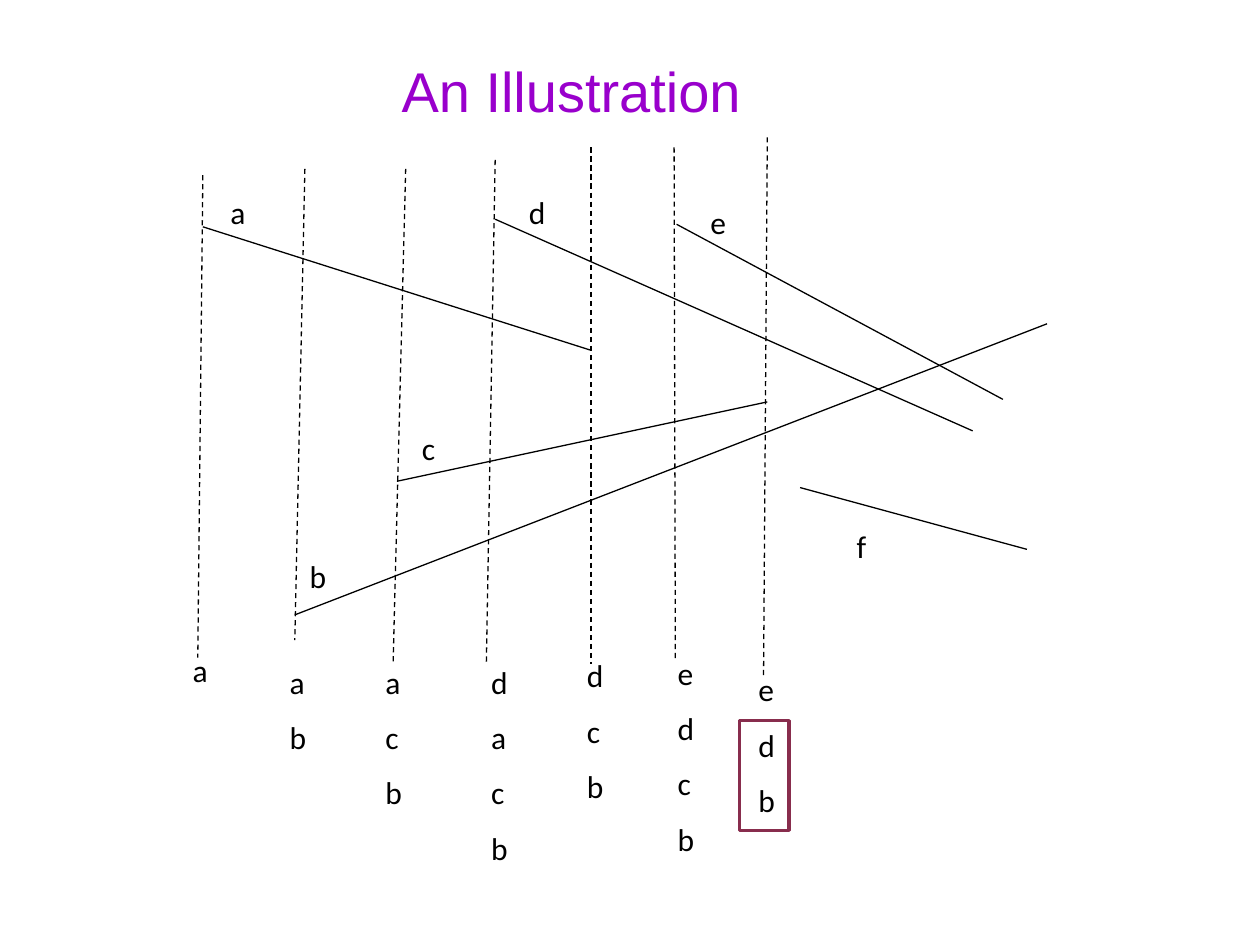
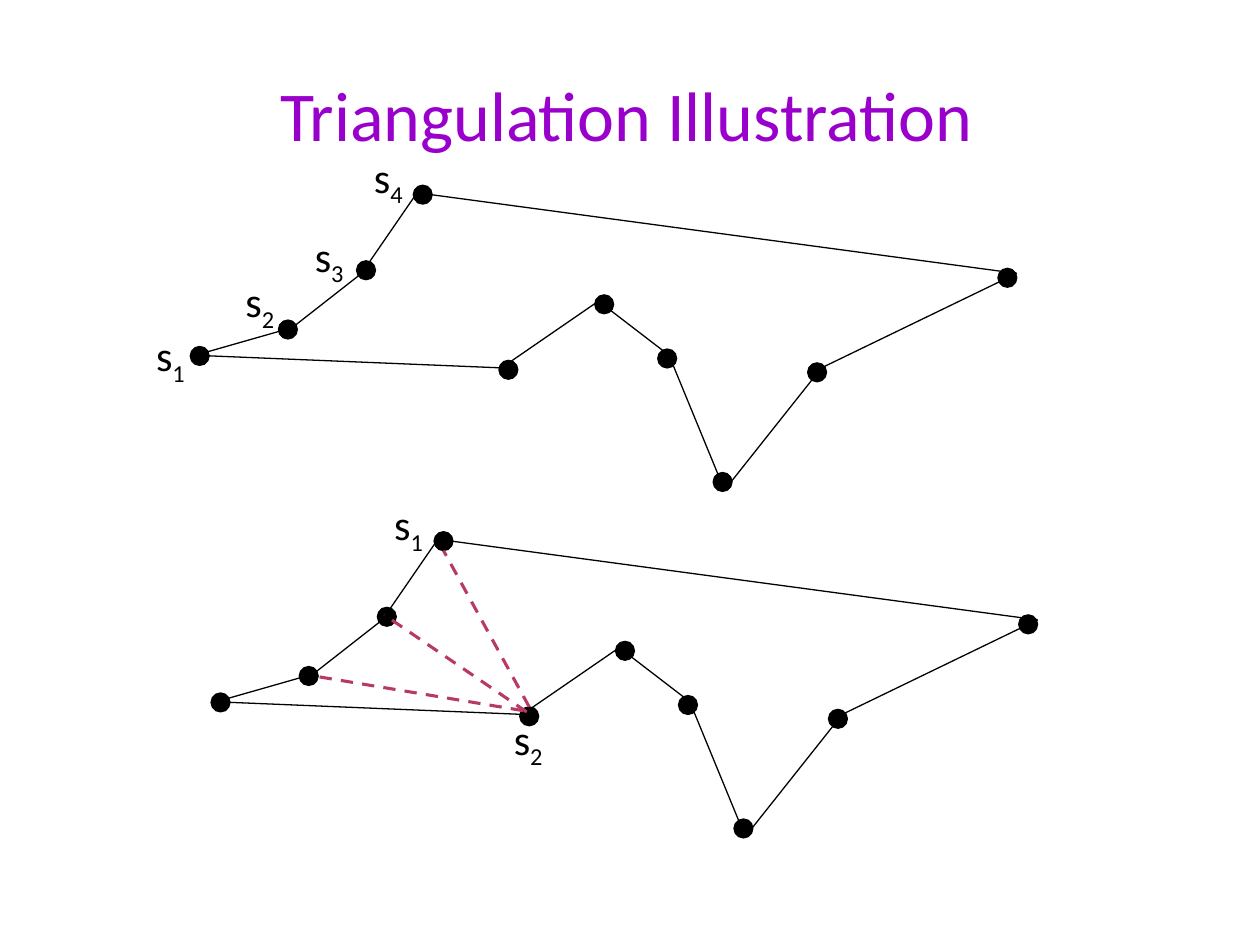
import lxml.etree
import pptx
import pptx.dml.color
import pptx.enum.dml
import pptx.enum.shapes
import pptx.enum.text
import pptx.oxml.ns
import pptx.util

# Grid: 100 columns by 75 rows of square cells
WIDTH, HEIGHT = pptx.util.Inches(10), pptx.util.Inches(7.5)
CELL = WIDTH / 100

INK, TITLE_COLOUR = "000000", "9900CC"
FRAME_COLOUR, DIAGONAL_COLOUR = "882D4D", "B73965"
BODY_FONT = "Calibri"
THIN = 0.75
LINE_ROWS = 4.4
DOT_SIZE = 1.5

# Sweep stops: top (column, row), bottom (column, row),
# status list (column, row), segments in the status from top to bottom
SWEEP_STOPS = [
    ((16.1, 13.9), (15.7, 52.2), (14.3, 51.2), "a"),
    ((24.2, 13.4), (23.4, 50.8), (22, 52.1), "ab"),
    ((32.2, 13.4), (31.2, 52.7), (29.6, 52.1), "acb"),
    ((39.3, 12.7), (38.6, 52.7), (38, 52.1), "dacb"),
    ((46.9, 11.7), (46.9, 52.7), (45.6, 51.6), "dcb"),
    ((53.5, 11.7), (53.6, 52.3), (52.8, 51.4), "edcb"),
    ((60.9, 10.9), (60.6, 53.8), (59.2, 52.7), "edb"),
]

# Segments: left end, right end, place of the label
SEGMENTS = {
    "a": ((16.1, 18), (46.9, 27.8), (17.3, 14.8)),
    "b": ((23.4, 48.8), (83.1, 25.7), (23.6, 43.7)),
    "c": ((31.5, 38.2), (60.9, 31.9), (32.5, 33.6)),
    "d": ((39.3, 17.4), (77.2, 34.2), (41, 14.8)),
    "e": ((53.7, 17.8), (79.6, 31.7), (55.4, 15.6)),
    "f": ((63.5, 38.7), (81.5, 43.6), (67, 41.3)),
}

# Polygon in order round its edge: corner of the outline, corner of the dot
POLYGON = [
    ((15.5, 28.2), (15.1, 27.5)),
    ((23.2, 26), (22.1, 25.4)),
    ((28.7, 21.7), (28.3, 20.7)),
    ((33.1, 15.3), (32.8, 14.7)),
    ((80.7, 21.7), (79.2, 21.3)),
    ((65.2, 29.2), (64.1, 28.8)),
    ((57.5, 38.9), (56.6, 37.5)),
    ((53.1, 28.2), (52.2, 27.7)),
    ((47.5, 23.9), (47.2, 23.4)),
    ((39.8, 29.2), (39.6, 28.6)),
]
LOWER_SHIFT = (1.65, 27.5)

UPPER_LABELS = [((11.4, 25.7), "1"), ((18.5, 21.4), "2"),
                ((24, 17.8), "3"), ((28.7, 11.5), "4")]
LOWER_LABELS = [((30.3, 39.1), "1"), ((39.8, 56.1), "2")]
DIAGONALS = [((41.5, 56.4), (25.2, 53.7)),
             ((41.8, 56.5), (30.5, 48.8)),
             ((42, 56.1), (35.2, 43.7))]


def cells(*counts):
    return [pptx.util.Emu(round(count * CELL)) for count in counts]


def colour(hex_value):
    return pptx.dml.color.RGBColor.from_string(hex_value)


def shifted(point, shift):
    return point[0] + shift[0], point[1] + shift[1]


def style_run(run, size, font=BODY_FONT, hex_value=INK):
    run.font.size = pptx.util.Pt(size)
    run.font.name = font
    run.font.color.rgb = colour(hex_value)


def add_title(slide, text, area, size, font, side=0.0, bottom=0.0):
    frame = slide.shapes.add_textbox(*cells(*area)).text_frame
    frame.word_wrap = True
    frame.vertical_anchor = pptx.enum.text.MSO_ANCHOR.BOTTOM
    frame.margin_left, frame.margin_right, frame.margin_bottom = cells(side, side, bottom)
    frame.text = text
    heading = frame.paragraphs[0]
    heading.alignment = pptx.enum.text.PP_ALIGN.CENTER
    style_run(heading.runs[0], size, font, TITLE_COLOUR)


def add_letters(slide, place, letters, size=18, width=3.4, height=LINE_ROWS):
    """Stack letters, one to a paragraph, and return the paragraphs."""
    frame = slide.shapes.add_textbox(*cells(*place, width, height)).text_frame
    frame.word_wrap = True
    frame.text = "\n".join(letters)
    for letter in frame.paragraphs:
        letter.space_after = pptx.util.Pt(10)
        style_run(letter.runs[0], size)
    return frame.paragraphs


def add_point_label(slide, place, index):
    label = add_letters(slide, place, "s", size=24, width=4.7, height=5)[0]
    subscript = label.add_run()
    subscript.text = index
    style_run(subscript, 24)
    subscript.font._element.set("baseline", "-25000")


def add_line(slide, start, end, hex_value=INK, weight=THIN, dashed=False):
    line = slide.shapes.add_connector(
        pptx.enum.shapes.MSO_CONNECTOR.STRAIGHT, *cells(*start, *end))
    line.line.color.rgb = colour(hex_value)
    line.line.width = pptx.util.Pt(weight)
    if dashed:
        line.line.dash_style = pptx.enum.dml.MSO_LINE.DASH
    lxml.etree.SubElement(line._element.spPr, pptx.oxml.ns.qn("a:effectLst"))


def add_outlined(slide, kind, area, hex_value, weight, filled):
    shape = slide.shapes.add_shape(kind, *cells(*area))
    shape.shadow.inherit = False
    if filled:
        shape.fill.solid()
        shape.fill.fore_color.rgb = colour(hex_value)
    else:
        shape.fill.background()
    shape.line.color.rgb = colour(hex_value)
    shape.line.width = pptx.util.Pt(weight)


def add_polygon(slide, shift=(0, 0)):
    corners = [shifted(corner, shift) for corner, _ in POLYGON]
    for start, end in zip(corners, corners[1:] + corners[:1]):
        add_line(slide, start, end)
    for _, dot in POLYGON:
        add_outlined(slide, pptx.enum.shapes.MSO_SHAPE.OVAL,
                     (*shifted(dot, shift), DOT_SIZE, DOT_SIZE), INK, THIN, True)


def build_sweep(slide):
    # Sweep line positions with the status below each
    for top, bottom, place, status in SWEEP_STOPS:
        add_line(slide, top, bottom, dashed=True)
        add_letters(slide, place, status, height=LINE_ROWS * len(status))
    # Segments
    for name, (left, right, place) in SEGMENTS.items():
        add_line(slide, left, right)
        add_letters(slide, place, name)
    add_title(slide, "An Illustration", (25.8, 3.9, 39.1, 6.4), 32, "Arial",
              side=1, bottom=0.5)
    # Frame round the newly adjacent pair
    add_outlined(slide, pptx.enum.shapes.MSO_SHAPE.RECTANGLE,
                 (58.7, 57.2, 3.9, 8.7), FRAME_COLOUR, 2, False)


def build_triangulation(slide):
    add_title(slide, "Triangulation Illustration", (4.3, 4.4, 90.8, 7.9), 40, BODY_FONT)
    # The polygon before and after its diagonals are drawn
    add_polygon(slide)
    add_polygon(slide, LOWER_SHIFT)
    for start, end in DIAGONALS:
        add_line(slide, start, end, DIAGONAL_COLOUR, 1.75, dashed=True)
    for place, index in UPPER_LABELS + LOWER_LABELS:
        add_point_label(slide, place, index)


def main():
    deck = pptx.Presentation()
    deck.slide_width, deck.slide_height = WIDTH, HEIGHT
    blank = deck.slide_layouts[6]
    for build in (build_sweep, build_triangulation):
        build(deck.slides.add_slide(blank))
    deck.save("out.pptx")


if __name__ == "__main__":
    main()
